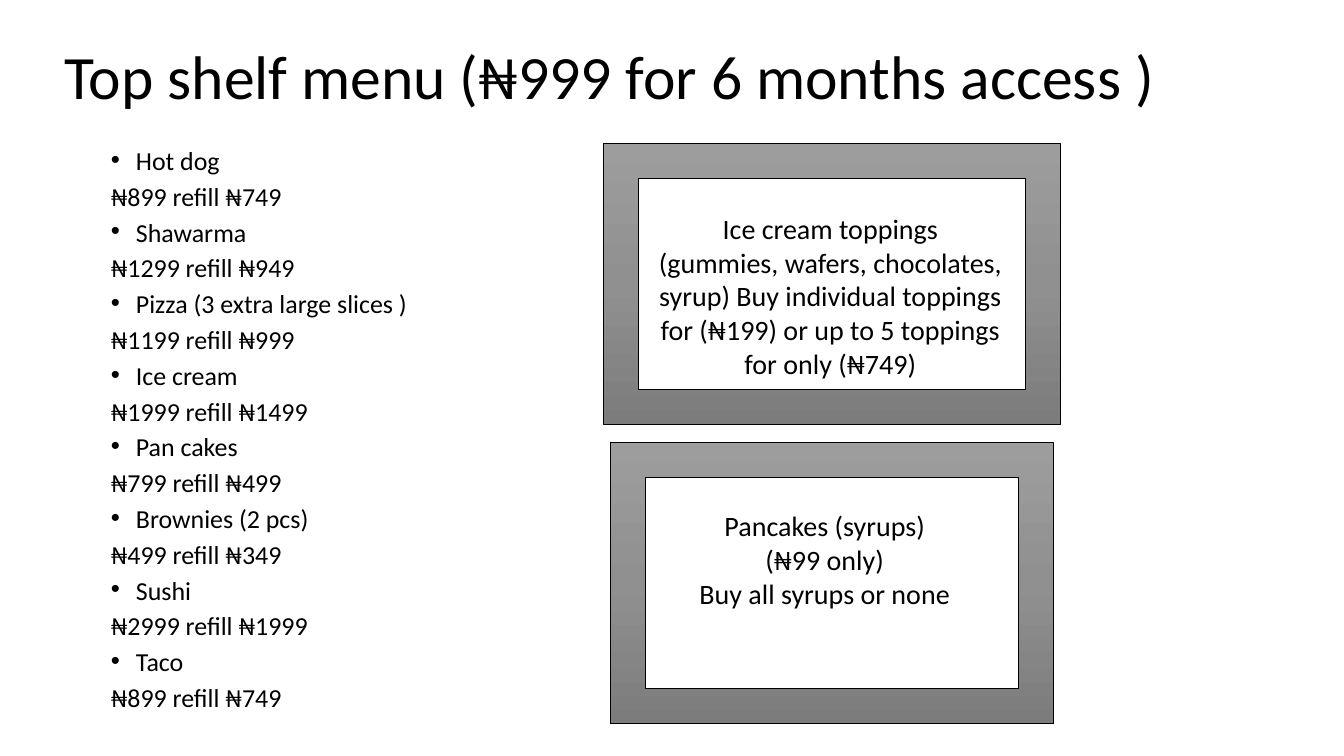
import copy
from dataclasses import dataclass

import pptx
import pptx.dml.color
import pptx.enum.dml
import pptx.enum.shapes
import pptx.enum.text
import pptx.oxml
import pptx.oxml.ns
import pptx.util

SLIDE_W, SLIDE_H = 13.33, 7.5


@dataclass(frozen=True)
class Theme:
    font: str = "Calibri"
    ink: str = "000000"
    frame_stops: tuple = ((0, "9D9D9D"), (0.5, "909090"), (1, "7C7C7C"))
    title_size: float = 44
    menu_size: float = 18.5
    note_size: float = 20
    outline: float = 0.5
    bullet_indent: float = 0.25


THEME = Theme()

MENU = (
    ("Hot dog", "₦899 refill ₦749"),
    ("Shawarma", "₦1299 refill ₦949"),
    ("Pizza (3 extra large slices )", "₦1199 refill ₦999"),
    ("Ice cream", "₦1999 refill ₦1499"),
    ("Pan cakes", "₦799 refill ₦499"),
    ("Brownies (2 pcs)", "₦499 refill ₦349"),
    ("Sushi", "₦2999 refill ₦1999"),
    ("Taco", "₦899 refill ₦749"),
)
TOPPINGS = (
    "Ice cream toppings",
    "(gummies, wafers, chocolates, syrup) Buy individual toppings "
    "for (₦199) or up to 5 toppings for only (₦749)",
)
PANCAKES = ("Pancakes (syrups)", "(₦99 only)", "Buy all syrups or none")


def rgb(value):
    return pptx.dml.color.RGBColor.from_string(value)


def inches(box):
    return [pptx.util.Inches(v) for v in box]


def add_text(s, box, lines, size):
    tf = s.shapes.add_textbox(*inches(box)).text_frame
    tf.word_wrap = True
    tf.text = "\n".join(lines)
    for p in tf.paragraphs:
        for r in p.runs:
            r.font.name = THEME.font
            r.font.size = pptx.util.Pt(size)
            r.font.color.rgb = rgb(THEME.ink)
    return tf


def add_bullet(p):
    indent = pptx.util.Inches(THEME.bullet_indent)
    pPr = p._p.get_or_add_pPr()
    pPr.set("marL", str(indent))
    pPr.set("indent", str(-indent))
    ns = pptx.oxml.ns.nsdecls("a")
    pPr.append(pptx.oxml.parse_xml(f'<a:buFont {ns} typeface="Arial"/>'))
    pPr.append(pptx.oxml.parse_xml(f'<a:buChar {ns} char="•"/>'))


def add_title(s, box, text):
    tf = add_text(s, box, [text], THEME.title_size)
    tf.vertical_anchor = pptx.enum.text.MSO_ANCHOR.MIDDLE
    tf.paragraphs[0].line_spacing = 0.9


def add_menu(s, box, menu):
    lines = [line for item in menu for line in item]
    tf = add_text(s, box, lines, THEME.menu_size)
    for i, p in enumerate(tf.paragraphs):
        p.line_spacing = 0.7
        p.space_before = pptx.util.Pt(10)
        if i % 2 == 0:
            add_bullet(p)


def add_framed_note(s, box, inset, lines):
    x, y, w, h = box
    dx, dy, text_w, text_h = inset
    tf = add_text(s, (x + dx, y + dy, text_w, text_h), lines, THEME.note_size)
    for p in tf.paragraphs:
        p.alignment = pptx.enum.text.PP_ALIGN.CENTER

    sp = s.shapes.add_shape(pptx.enum.shapes.MSO_SHAPE.FRAME, *inches(box))
    sp.shadow.inherit = False
    sp.line.color.rgb = rgb(THEME.ink)
    sp.line.width = pptx.util.Pt(THEME.outline)
    sp.fill.gradient()
    sp.fill.gradient_angle = 270
    first = sp._element.xpath(".//a:gsLst/a:gs")[0]
    first.addnext(copy.deepcopy(first))
    for stop, (position, color) in zip(sp.fill.gradient_stops, THEME.frame_stops):
        stop.position = position
        stop.color.rgb = rgb(color)


def main():
    prs = pptx.Presentation()
    prs.slide_width, prs.slide_height = inches((SLIDE_W, SLIDE_H))
    s = prs.slides.add_slide(prs.slide_layouts[6])
    add_title(s, (0.54, 0.06, 11.5, 1.45),
              "Top shelf menu (₦999 for 6 months access )")
    add_menu(s, (1, 1.47, 10.11, SLIDE_H - 1.47), MENU)
    add_framed_note(s, (5.98, 1.42, 4.54, 2.79), (0.31, 0.63, 3.89, 1.78), TOPPINGS)
    add_framed_note(s, (6.05, 4.39, 4.4, 2.79), (-0.14, 0.61, 4.54, 1.41), PANCAKES)
    prs.save("out.pptx")


if __name__ == "__main__":
    main()
